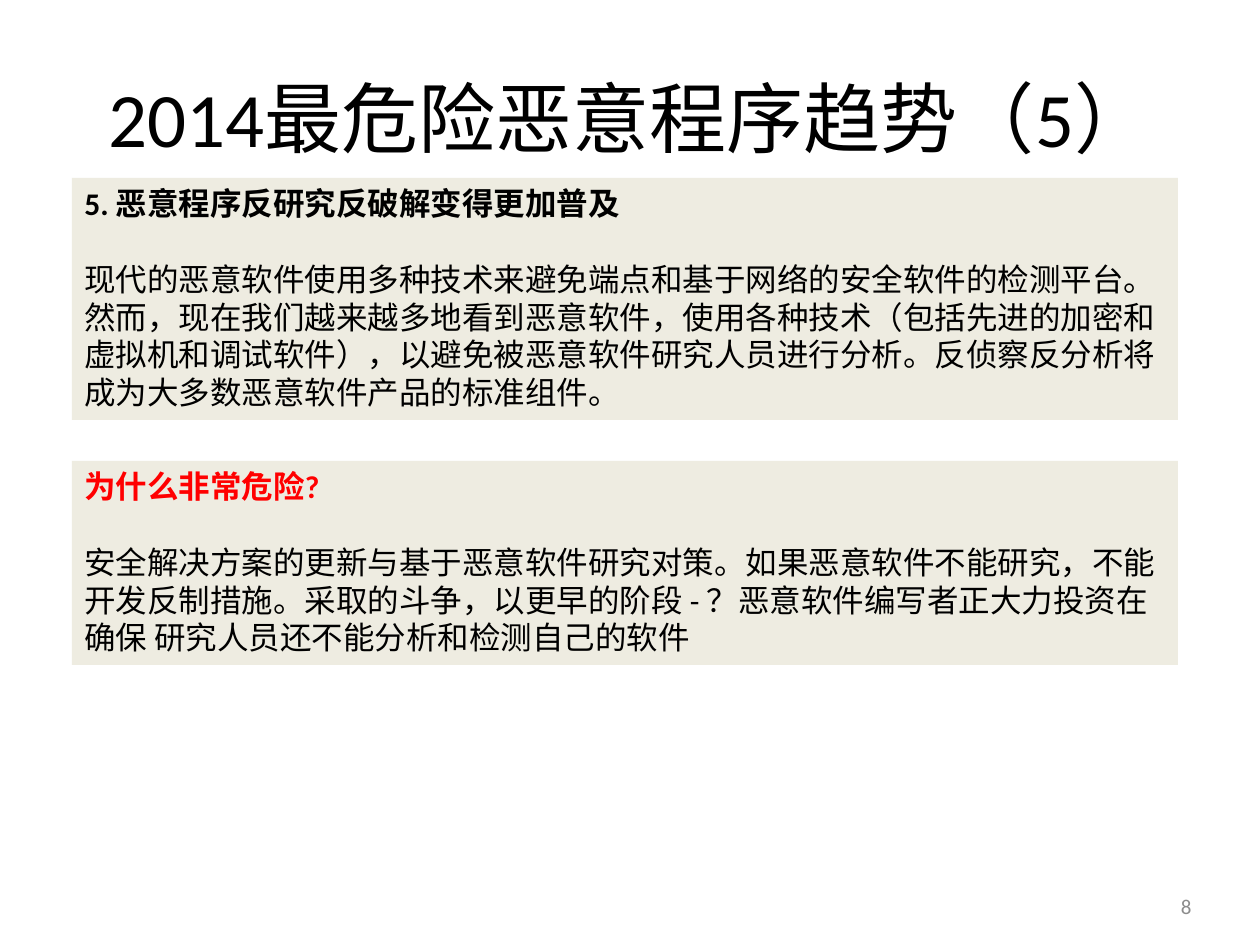
from pptx import Presentation
from pptx.dml.color import RGBColor
from pptx.enum.shapes import MSO_SHAPE as Shape
from pptx.enum.text import MSO_ANCHOR as Anchor, MSO_AUTO_SIZE as AutoSize, PP_ALIGN as Align
from pptx.util import Pt

EMU_PER_PX = 914400 / 126
COLORS = {"text": "000000", "alert": "FF0000", "panel": "EEECE1", "number": "8C8C8C"}


def emu(*lengths):
    return [round(length * EMU_PER_PX) for length in lengths]


def style(para, size, color, bold=False):
    for span in para.runs:
        span.font.name = "Calibri"
        span.font.size = Pt(size)
        span.font.bold = bold
        span.font.color.rgb = RGBColor.from_string(COLORS[color])


deck = Presentation()
deck.slide_width, deck.slide_height = emu(1260, 945)
page = deck.slides.add_slide(deck.slide_layouts[0])
subtitle = page.placeholders[1].element
subtitle.getparent().remove(subtitle)

# Title
title = page.shapes.title
title.left, title.top, title.width, title.height = emu(63, 38, 1134, 158)
title.text_frame.text = "2014最危险恶意程序趋势（5）"
title.text_frame.vertical_anchor = Anchor.MIDDLE
title.text_frame.paragraphs[0].alignment = Align.CENTER
style(title.text_frame.paragraphs[0], 44, "text")

# Slide number
number = page.shapes.add_textbox(*emu(1131, 888, 73, 37))
number.text_frame.word_wrap = True
number.text_frame.vertical_anchor = Anchor.MIDDLE
number.text_frame.text = "8"
number.text_frame.paragraphs[0].alignment = Align.RIGHT
style(number.text_frame.paragraphs[0], 12, "number")

# Panels: top, height, heading colour, hanging indent, heading, body
panels = [
    (178, 242, "text", 48, "5. 恶意程序反研究反破解变得更加普及",
     "现代的恶意软件使用多种技术来避免端点和基于网络的安全软件的检测平台。"
     "然而，现在我们越来越多地看到恶意软件，使用各种技术（包括先进的加密和虚拟机和调试软件），"
     "以避免被恶意软件研究人员进行分析。反侦察反分析将成为大多数恶意软件产品的标准组件。"),
    (461, 204, "alert", 0, "为什么非常危险?",
     "安全解决方案的更新与基于恶意软件研究对策。如果恶意软件不能研究，不能开发反制措施。"
     "采取的斗争，以更早的阶段 - ？恶意软件编写者正大力投资在确保 研究人员还不能分析和检测自己的软件"),
]
for top, height, color, hang, heading, body in panels:
    box = page.shapes.add_shape(Shape.RECTANGLE, *emu(72, top, 1106, height))
    box.shadow.inherit = False
    box.fill.solid()
    box.fill.fore_color.rgb = RGBColor.from_string(COLORS["panel"])
    box.line.fill.background()
    frame = box.text_frame
    frame.word_wrap = True
    frame.auto_size = AutoSize.SHAPE_TO_FIT_TEXT
    frame.vertical_anchor = Anchor.TOP
    frame.text = f"{heading}\n{body}"
    for para in frame.paragraphs:
        para.alignment = Align.LEFT
    head, detail = frame.paragraphs
    head.space_after = Pt(21.6)
    if hang:
        indent = emu(hang)[0]
        properties = head._p.get_or_add_pPr()
        properties.set("marL", str(indent))
        properties.set("indent", str(-indent))
    style(head, 18, color, bold=True)
    style(detail, 18, "text")

deck.save("out.pptx")
